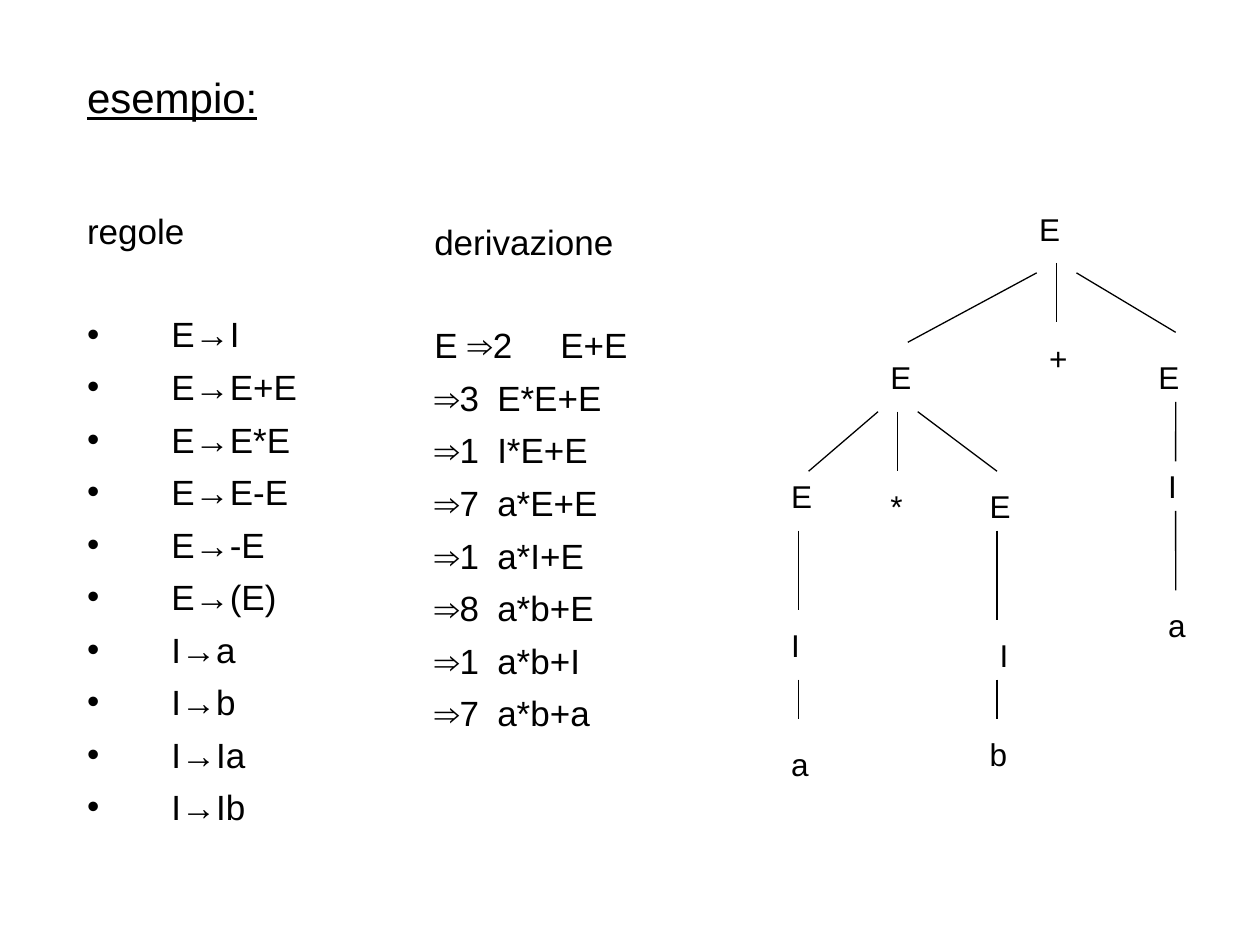
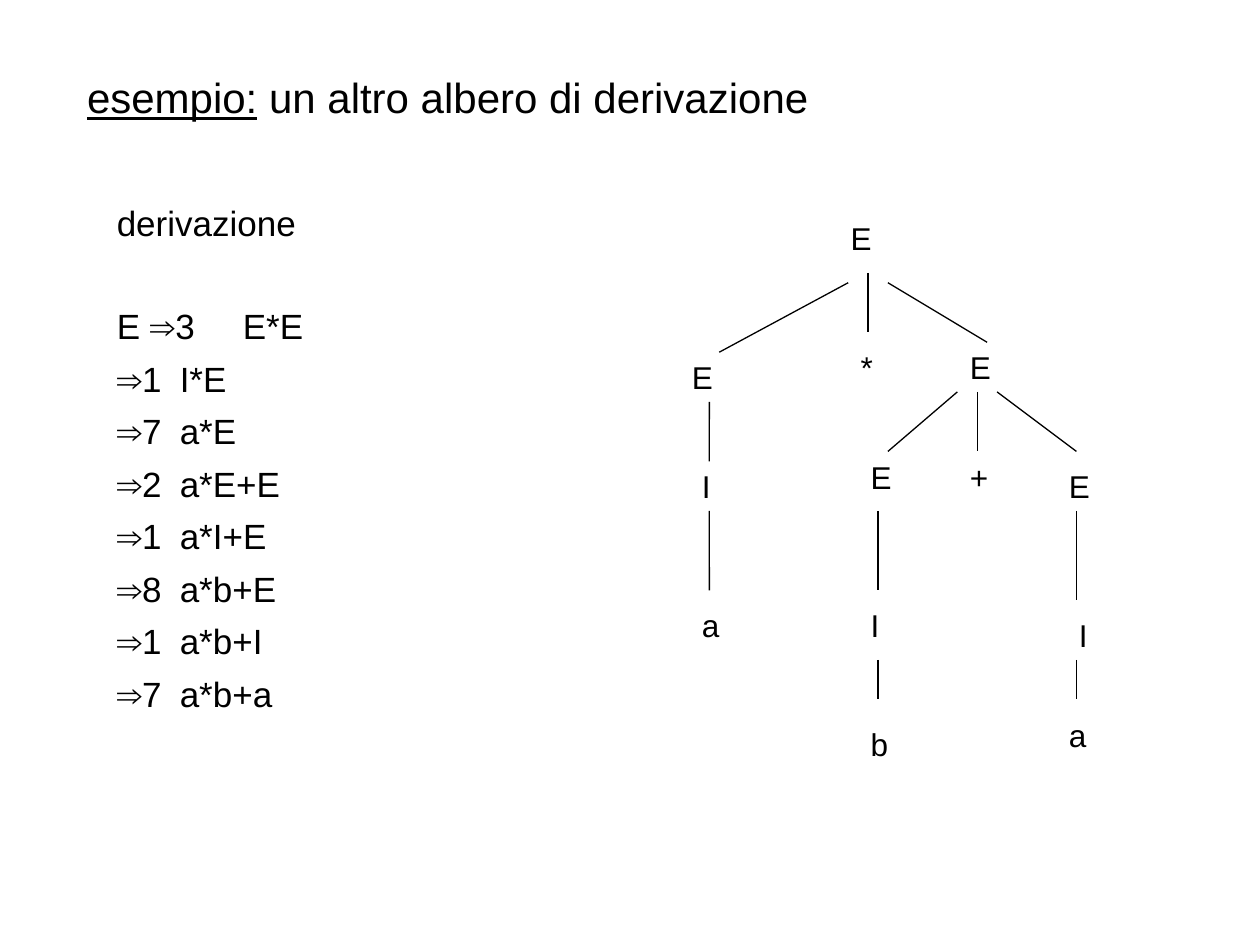
from math import isclose

from lxml import etree
from pptx import Presentation
from pptx.dml.color import RGBColor
from pptx.enum.shapes import MSO_CONNECTOR
from pptx.enum.text import MSO_ANCHOR, MSO_AUTO_SIZE, PP_ALIGN
from pptx.oxml.ns import qn
from pptx.util import Cm, Pt

STRAIGHT = MSO_CONNECTOR.STRAIGHT
TOP = MSO_ANCHOR.TOP
LEFT = PP_ALIGN.LEFT
NO_FIT, GROW = MSO_AUTO_SIZE.NONE, MSO_AUTO_SIZE.SHAPE_TO_FIT_TEXT

COLORS = {"text": "000000", "line": "000000"}
FONT = "Arial"
TITLE_SIZE, LIST_SIZE, SYMBOL_SIZE = 24, 20, 18
TITLE_BOX = (1.5, 1.32, 23, 1.4)
LINE_GAP, HEADING_GAP = 6, 35
BULLET_INDENT, TAB_STOP = 1.7, 2.54
SYMBOL_WIDTH, NARROW, SYMBOL_HEIGHT = 1, 0.8, 1

ROOT_FORK = [((0.6, 1.2), (0.6, 2.4)), ((0.2, 1.4), (-2.4, 2.8)), ((1, 1.4), (3, 2.6))]
INNER_FORK = [((0.4, 1.2), (0.4, 2.4)), ((0, 1.2), (-1.4, 2.4)), ((0.8, 1.2), (2.4, 2.4))]

RULES = ["E→I", "E→E+E", "E→E*E", "E→E-E", "E→-E", "E→(E)", "I→a", "I→b", "I→Ia", "I→Ib"]
SUM_STEPS = ["E ⇒2\tE+E", "⇒3\tE*E+E", "⇒1\tI*E+E", "⇒7\ta*E+E",
             "⇒1\ta*I+E", "⇒8\ta*b+E", "⇒1\ta*b+I", "⇒7\ta*b+a"]
PRODUCT_STEPS = ["E ⇒3\tE*E", "⇒1\tI*E", "⇒7\ta*E", "⇒2\ta*E+E",
                 "⇒1\ta*I+E", "⇒8\ta*b+E", "⇒1\ta*b+I", "⇒7\ta*b+a"]

SUM_TREE = {
    "symbols": [
        ("E", 5, 0), ("E", 2, 3), ("+", 5.2, 2.6, NARROW), ("E", 7.4, 3),
        ("E", 0, 5.4, NARROW), ("*", 2, 5.6, NARROW), ("E", 4, 5.6),
        ("I", 7.6, 5.2, NARROW), ("a", 7.6, 8),
        ("I", 0, 8.4), ("a", 0, 10.8), ("I", 4.2, 8.6), ("b", 4, 10.6),
    ],
    "forks": [(ROOT_FORK, 5, 0), (INNER_FORK, 2, 3)],
    "stems": [(0.4, 6.6, 8.2), (0.4, 9.6, 10.4), (4.4, 6.6, 8.4),
              (4.4, 9.6, 10.4), (8, 4, 5.2), (8, 6.2, 7.8)],
}
PRODUCT_TREE = {
    "symbols": [
        ("E", 3.2, 0), ("E", 0, 2.8), ("*", 3.4, 2.6, NARROW), ("E", 5.6, 2.6),
        ("I", 0.2, 5, NARROW), ("a", 0.2, 7.8),
        ("E", 3.6, 4.8, NARROW), ("+", 5.6, 4.8), ("E", 7.6, 5),
        ("I", 3.6, 7.8), ("b", 3.6, 10.2), ("I", 7.8, 8), ("a", 7.6, 10),
    ],
    "forks": [(ROOT_FORK, 3.2, 0), (INNER_FORK, 5.6, 2.4)],
    "stems": [(0.6, 3.8, 5), (0.6, 6, 7.6), (4, 6, 7.6),
              (4, 9, 9.8), (8, 6, 7.8), (8, 9, 9.8)],
}


def place(shape, box):
    """Move a shape to a box in centimetres and give its text a plain frame."""
    shape.left, shape.top, shape.width, shape.height = map(Cm, box)
    frame = shape.text_frame
    frame.word_wrap = True
    frame.auto_size = NO_FIT
    frame.vertical_anchor = TOP
    return frame


def add_run(paragraph, text, size, underline=False):
    """Add one formatted run to a left-aligned paragraph."""
    paragraph.alignment = LEFT
    run = paragraph.add_run()
    run.text = text
    run.font.name = FONT
    run.font.size = Pt(size)
    run.font.underline = underline
    run.font.color.rgb = RGBColor.from_string(COLORS["text"])


def set_list_format(paragraph, gap, bulleted):
    """Set spacing, bullet, indent and tab stop of a list paragraph."""
    paragraph.space_before = Pt(gap)
    props = paragraph._p.get_or_add_pPr()
    indent = Cm(BULLET_INDENT) if bulleted else 0
    props.set("marL", str(indent))
    props.set("indent", str(-indent))
    if bulleted:
        etree.SubElement(props, qn("a:buChar"), char="•")
    else:
        etree.SubElement(props, qn("a:buNone"))
        stops = etree.SubElement(props, qn("a:tabLst"))
        etree.SubElement(stops, qn("a:tab"), pos=str(Cm(TAB_STOP)), algn="l")


def fill_title(slide, rest=""):
    """Write the underlined title word and its plain continuation."""
    paragraph = place(slide.shapes.title, TITLE_BOX).paragraphs[0]
    paragraph.space_before = Pt(0)
    add_run(paragraph, "esempio:", TITLE_SIZE, underline=True)
    if rest:
        add_run(paragraph, rest, TITLE_SIZE)


def fill_list(body, box, heading, entries, bulleted=False):
    """Write a heading and, after a gap, its entries into a body placeholder."""
    frame = place(body, box)
    set_list_format(frame.paragraphs[0], 0, False)
    add_run(frame.paragraphs[0], heading, LIST_SIZE)
    for index, entry in enumerate(entries):
        paragraph = frame.add_paragraph()
        set_list_format(paragraph, LINE_GAP if index else HEADING_GAP, bulleted)
        add_run(paragraph, entry, LIST_SIZE)


def draw_branch(slide, start, end):
    """Draw a thin straight branch between two points in centimetres."""
    branch = slide.shapes.add_connector(STRAIGHT, *map(Cm, (*start, *end)))
    branch.line.color.rgb = RGBColor.from_string(COLORS["line"])
    branch.line.width = Pt(0.75)
    etree.SubElement(branch._element.spPr, qn("a:effectLst"))
    return branch


def draw_symbol(slide, text, x, y, width):
    """Write one grammar symbol of the tree."""
    symbol = slide.shapes.add_textbox(0, 0, 0, 0)
    frame = place(symbol, (x, y, width, SYMBOL_HEIGHT))
    frame.auto_size = GROW
    add_run(frame.paragraphs[0], text, SYMBOL_SIZE)
    return symbol


def same(a, b):
    """Tell whether two lengths in centimetres agree."""
    return isclose(a, b, abs_tol=0.01)


def draw_tree(slide, left, top, tree):
    """Draw a derivation tree, joining the stems that meet a symbol."""
    placed = []
    for text, x, y, *narrow in tree["symbols"]:
        width = narrow[0] if narrow else SYMBOL_WIDTH
        symbol = draw_symbol(slide, text, left + x, top + y, width)
        placed.append((symbol, x + width / 2, y))
    for fork, x, y in tree["forks"]:
        for (x1, y1), (x2, y2) in fork:
            draw_branch(slide, (left + x + x1, top + y + y1), (left + x + x2, top + y + y2))
    for x, upper, lower in tree["stems"]:
        stem = draw_branch(slide, (left + x, top + upper), (left + x, top + lower))
        for symbol, middle, y in placed:
            if same(middle, x) and same(y + SYMBOL_HEIGHT, upper):
                stem.begin_connect(symbol, 2)
            if same(middle, x) and same(y, lower):
                stem.end_connect(symbol, 0)


def build_rules_slide(deck):
    """Build the slide with the rules, a derivation and its tree."""
    slide = deck.slides.add_slide(deck.slide_layouts[3])
    fill_title(slide)
    fill_list(slide.placeholders[1], (1.5, 4.1, 4.8, 12.8), "regole", RULES, bulleted=True)
    fill_list(slide.placeholders[2], (8.5, 4.32, 6.4, 10.2), "derivazione", SUM_STEPS)
    draw_tree(slide, 15.7, 4.1, SUM_TREE)


def build_other_tree_slide(deck):
    """Build the slide with the other derivation and its tree."""
    slide = deck.slides.add_slide(deck.slide_layouts[1])
    fill_title(slide, " un altro albero di derivazione")
    fill_list(slide.placeholders[1], (2.1, 3.93, 6.4, 10.2), "derivazione", PRODUCT_STEPS)
    draw_tree(slide, 13.7, 4.3, PRODUCT_TREE)


def main():
    """Build and save the deck."""
    deck = Presentation()
    deck.slide_width, deck.slide_height = Cm(25.4), Cm(19.05)
    build_rules_slide(deck)
    build_other_tree_slide(deck)
    deck.save("out.pptx")


if __name__ == "__main__":
    main()
